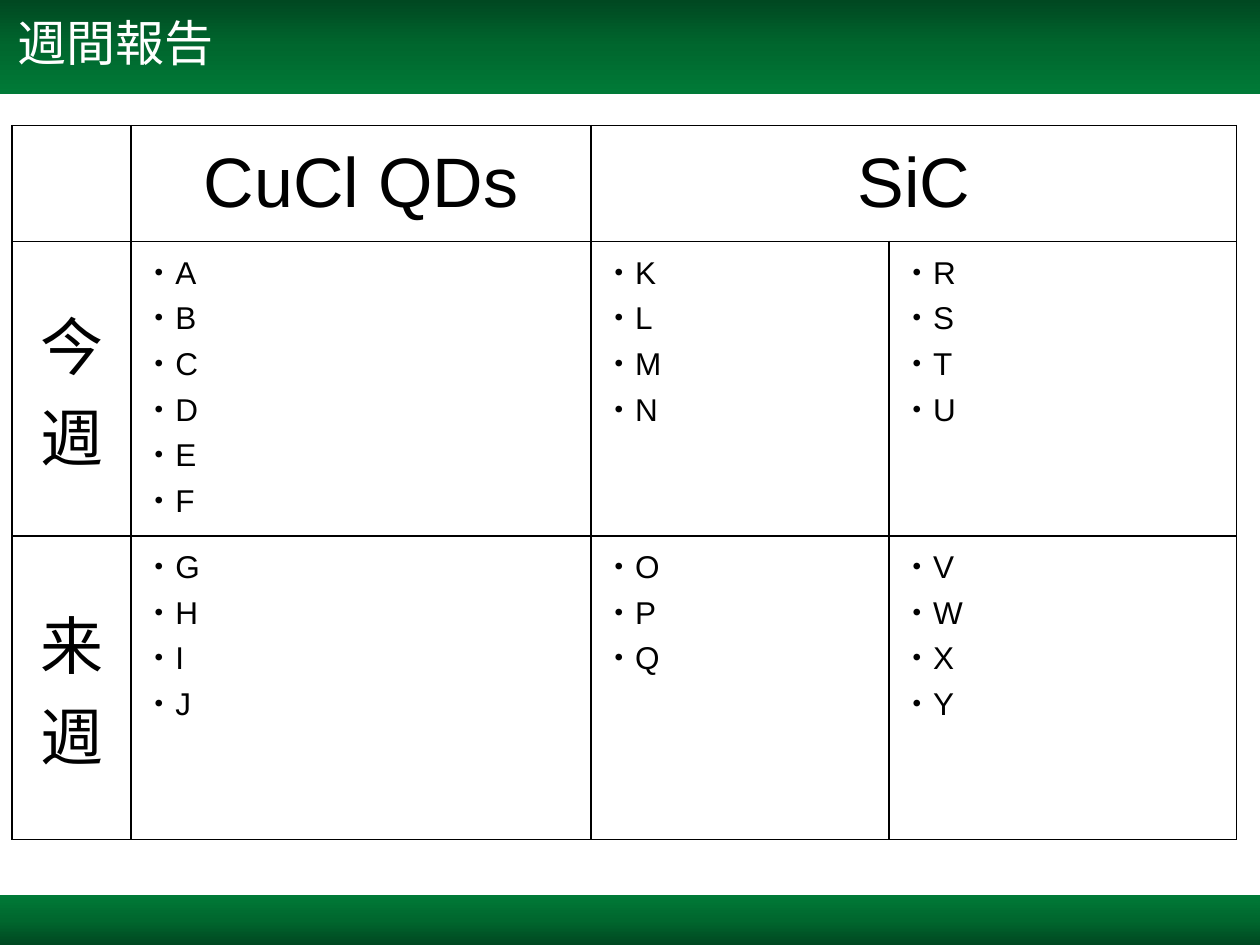
from copy import deepcopy

from lxml.etree import SubElement
from pptx import Presentation
from pptx.dml.color import RGBColor
from pptx.enum.shapes import MSO_SHAPE as Shape
from pptx.enum.text import MSO_ANCHOR as Anchor, MSO_AUTO_SIZE as AutoSize, PP_ALIGN as Align
from pptx.oxml.ns import qn
from pptx.util import Pt

# Content
TITLE = "週間報告"
HEADINGS = ["", "CuCl QDs", "SiC"]
WEEKS = [
    ("今週", ["ABCDEF", "KLMN", "RSTU"]),
    ("来週", ["GHIJ", "OPQ", "VWXY"]),
]

# Style and layout, in points
WHITE = RGBColor(0xFF, 0xFF, 0xFF)
BLACK = RGBColor(0x00, 0x00, 0x00)
GREENS = [RGBColor(0x00, 0x48, 0x21), RGBColor(0x00, 0x67, 0x2E), RGBColor(0x00, 0x7A, 0x37)]
PAGE_WIDTH, PAGE_HEIGHT = 720, 540
HEADER_HEIGHT, FOOTER_HEIGHT = 53.5, 28.5
TABLE_LEFT, TABLE_TOP = 6.8, 71.8
COLUMNS = [68.2, 262.8, 170.2, 198.7]
ROWS = [66.2, 168.2, 173.5]


def add_band(page, top, height, angle):
    """Full-width band, shaded evenly through the greens."""
    band = page.shapes.add_shape(Shape.RECTANGLE, 0, Pt(top), Pt(PAGE_WIDTH), Pt(height))
    band.shadow.inherit = False
    band.line.fill.background()
    band.fill.gradient()
    band.fill.gradient_angle = angle
    first = band._element.spPr.find(".//" + qn("a:gs"))
    first.addnext(deepcopy(first))
    for index, (stop, color) in enumerate(zip(band.fill.gradient_stops, GREENS)):
        stop.position = index / (len(GREENS) - 1)
        stop.color.rgb = color


def style_paragraph(para, size, name, color, align=Align.LEFT):
    para.alignment = align
    para.font.size = Pt(size)
    para.font.name = name
    para.font.color.rgb = color


def fill_cell(cell, lines, size, centred=False):
    cell.text = "\n".join(lines)
    cell.vertical_anchor = Anchor.MIDDLE if centred else Anchor.TOP
    for para in cell.text_frame.paragraphs:
        style_paragraph(para, size, "Arial", BLACK, Align.CENTER if centred else Align.LEFT)


def outline_cell(cell):
    properties = cell._tc.get_or_add_tcPr()
    for side in ("a:lnL", "a:lnR", "a:lnT", "a:lnB"):
        line = SubElement(properties, qn(side), w=str(Pt(1)))
        solid = SubElement(line, qn("a:solidFill"))
        SubElement(solid, qn("a:srgbClr"), val=str(BLACK))
    cell.fill.background()


deck = Presentation()
deck.slide_width, deck.slide_height = Pt(PAGE_WIDTH), Pt(PAGE_HEIGHT)
page = deck.slides.add_slide(deck.slide_layouts[6])

# Header and footer bands, darkest at the page edge
add_band(page, 0, HEADER_HEIGHT, 270)
add_band(page, PAGE_HEIGHT - FOOTER_HEIGHT, FOOTER_HEIGHT, 90)

# Title
box = page.shapes.add_textbox(Pt(3), Pt(3.8), Pt(127.4), Pt(41))
box.text_frame.word_wrap = False
box.text_frame.auto_size = AutoSize.SHAPE_TO_FIT_TEXT
box.text_frame.text = TITLE
style_paragraph(box.text_frame.paragraphs[0], 28, "Times New Roman", WHITE)

# Report table
table = page.shapes.add_table(
    len(ROWS), len(COLUMNS), Pt(TABLE_LEFT), Pt(TABLE_TOP), Pt(sum(COLUMNS)), Pt(sum(ROWS))
).table
table.first_row = table.horz_banding = False
for column, width in zip(table.columns, COLUMNS):
    column.width = Pt(width)
for row, height in zip(table.rows, ROWS):
    row.height = Pt(height)
for cell in table.iter_cells():
    outline_cell(cell)

table.cell(0, 2).merge(table.cell(0, 3))
for index, heading in enumerate(HEADINGS):
    fill_cell(table.cell(0, index), [heading], 40, centred=True)
for row, (week, groups) in enumerate(WEEKS, start=1):
    fill_cell(table.cell(row, 0), [week], 36, centred=True)
    for column, items in enumerate(groups, start=1):
        fill_cell(table.cell(row, column), ["・" + item for item in items], 18)

deck.save("out.pptx")
